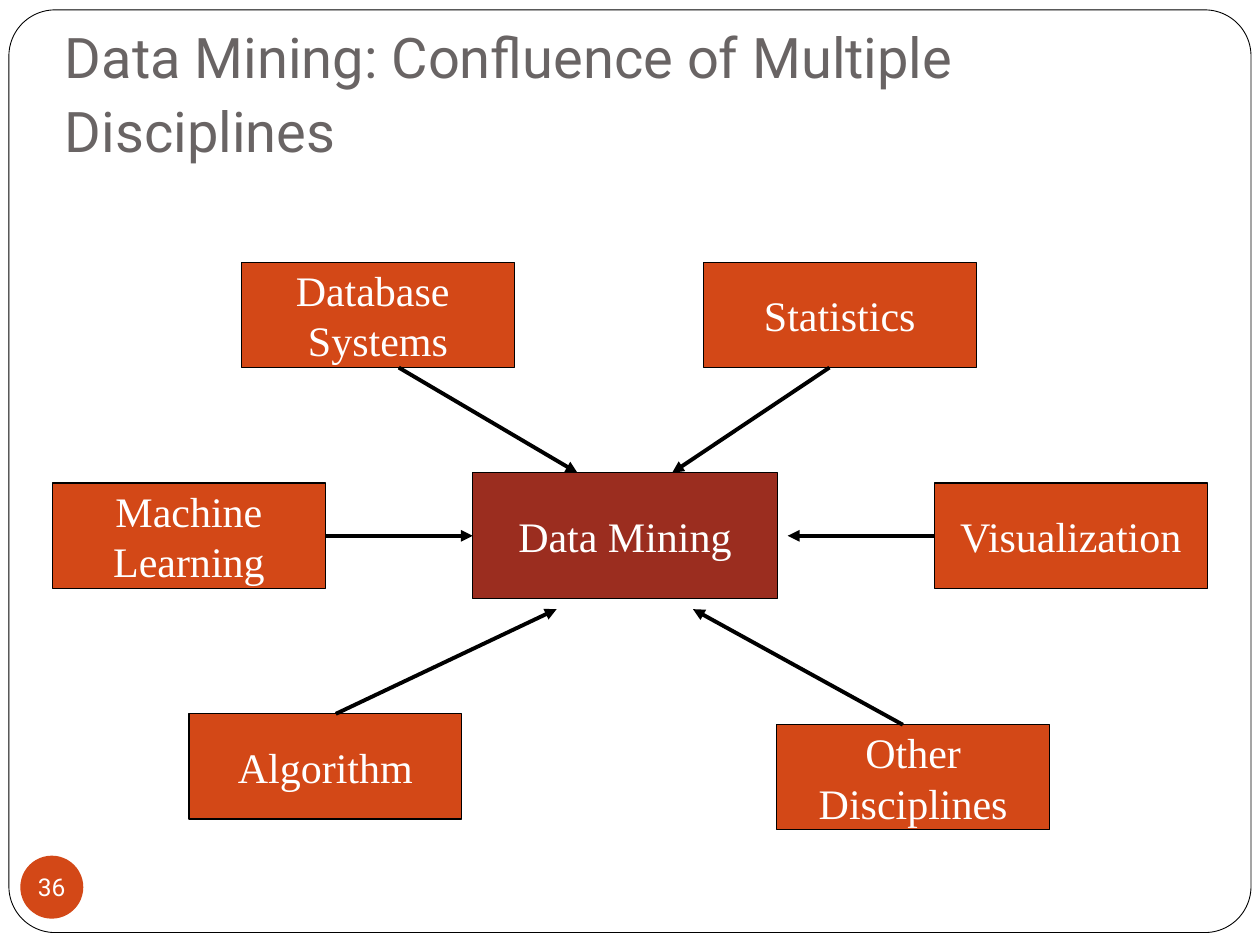
from lxml import etree
from pptx import Presentation
from pptx.dml.color import RGBColor
from pptx.enum.shapes import MSO_CONNECTOR as CONNECTOR, MSO_SHAPE as SHAPE
from pptx.enum.text import MSO_ANCHOR as ANCHOR, PP_ALIGN as ALIGN
from pptx.oxml.ns import qn
from pptx.util import Cm, Pt

SANS, SERIF = "Roboto", "Times New Roman"
WHITE, BLACK, GREY = "FFFFFF", "000000", "696464"
ORANGE, RED = "D34817", "9B2D1F"
BOX_W, BOX_H = 5.5, 2.12

# Text, left and top of each discipline box, then start and end of its arrow (cm)
DISCIPLINES = [
    ("Database \nSystems", 4.87, 5.29, (8.04, 7.41), (11.64, 9.53)),
    ("Statistics", 14.18, 5.29, (16.72, 7.41), (13.55, 9.53)),
    ("Other\nDisciplines", 15.66, 14.61, (18.2, 14.61), (13.97, 12.28)),
    ("Algorithm", 3.81, 14.39, (6.77, 14.39), (11.22, 12.28)),
    ("Machine\nLearning", 1.06, 9.74, (6.56, 10.8), (9.53, 10.8)),
    ("Visualization", 18.84, 9.74, (18.84, 10.8), (15.88, 10.8)),
]


def rgb(color):
    return RGBColor.from_string(color)


def style_run(r, size, font, color):
    r.font.size = Pt(size)
    r.font.name = font
    r.font.color.rgb = rgb(color)


def add_shape(slide, kind, left, top, width, height, fill, line_width=None):
    s = slide.shapes.add_shape(kind, Cm(left), Cm(top), Cm(width), Cm(height))
    s.shadow.inherit = False
    s.fill.solid()
    s.fill.fore_color.rgb = rgb(fill)
    if line_width:
        s.line.color.rgb = rgb(BLACK)
        s.line.width = Pt(line_width)
    else:
        s.line.fill.background()
    return s


def set_label(s, text, size, font):
    tf = s.text_frame
    tf.text = text
    tf.word_wrap = False
    tf.vertical_anchor = ANCHOR.MIDDLE
    for p in tf.paragraphs:
        p.alignment = ALIGN.CENTER
        for r in p.runs:
            style_run(r, size, font, WHITE)


def add_box(slide, text, left, top, width, height, fill):
    s = add_shape(slide, SHAPE.RECTANGLE, left, top, width, height, fill, 0.75)
    set_label(s, text, 24, SERIF)
    return s


def add_arrow(slide, start, end):
    (x1, y1), (x2, y2) = start, end
    s = slide.shapes.add_connector(CONNECTOR.STRAIGHT, Cm(x1), Cm(y1), Cm(x2), Cm(y2))
    s.line.color.rgb = rgb(BLACK)
    s.line.width = Pt(2.25)
    etree.SubElement(s.line._get_or_add_ln(), qn("a:tailEnd"), type="triangle")
    etree.SubElement(s._element.spPr, qn("a:effectLst"))


def add_title(slide, text):
    s = slide.shapes.add_textbox(Cm(1.06), Cm(0.84), Cm(23.93), Cm(2.11))
    tf = s.text_frame
    tf.word_wrap = True
    tf.vertical_anchor = ANCHOR.MIDDLE
    p = tf.paragraphs[0]
    # The larger closing space sets the height of the last line
    for part, size in ((text, 32), (" ", 36)):
        r = p.add_run()
        r.text = part
        style_run(r, size, SANS, GREY)


def add_page_number(slide, number):
    s = add_shape(slide, SHAPE.OVAL, 0.41, 17.25, 1.27, 1.27, ORANGE)
    set_label(s, number, 14, SANS)
    tf = s.text_frame
    tf.margin_left = tf.margin_right = tf.margin_top = tf.margin_bottom = 0


def main():
    prs = Presentation()
    prs.slide_width, prs.slide_height = Cm(25.4), Cm(19.05)
    slide = prs.slides.add_slide(prs.slide_layouts[6])

    # Frame, page number and title
    frame = add_shape(slide, SHAPE.ROUNDED_RECTANGLE, 0.18, 0.2, 25.04, 18.6, WHITE, 0.5)
    frame.adjustments[0] = 0.05
    add_page_number(slide, "36")
    add_title(slide, "Data Mining: Confluence of Multiple Disciplines")

    # Central topic and the disciplines around it
    add_box(slide, "Data Mining", 9.53, 9.53, 6.14, 2.54, RED)
    for text, left, top, start, end in DISCIPLINES:
        add_box(slide, text, left, top, BOX_W, BOX_H, ORANGE)
        add_arrow(slide, start, end)

    prs.save("out.pptx")


if __name__ == "__main__":
    main()
